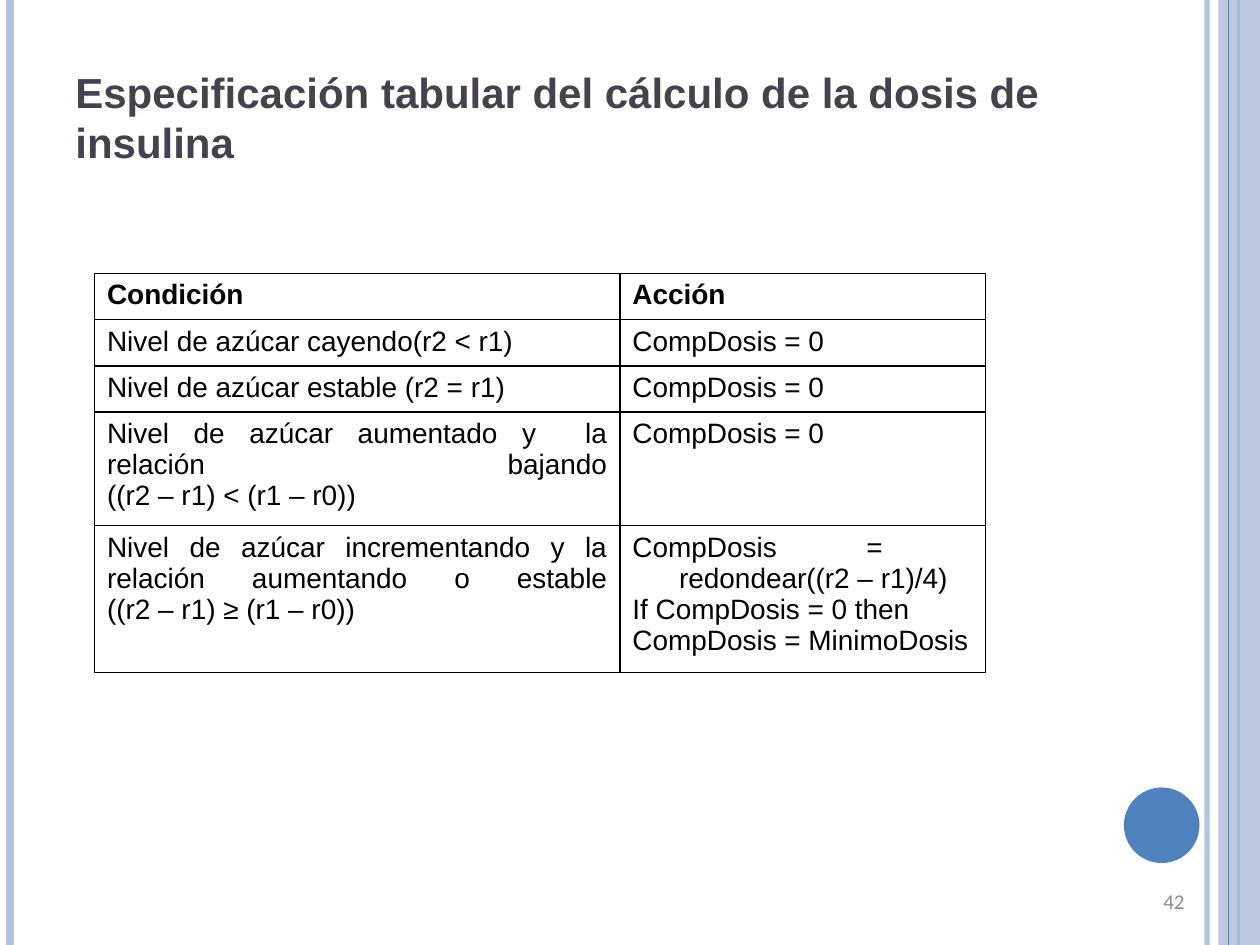
import pptx
import pptx.util
import pptx.dml.color
import pptx.enum.shapes
import pptx.enum.text
import pptx.oxml
import pptx.oxml.ns
import lxml.etree

Inches = pptx.util.Inches
RGBColor = pptx.dml.color.RGBColor
Align = pptx.enum.text.PP_ALIGN
Anchor = pptx.enum.text.MSO_ANCHOR
Shape = pptx.enum.shapes.MSO_SHAPE
qn = pptx.oxml.ns.qn

PALE_BLUE = RGBColor(0xB3, 0xC1, 0xDB)
BLUE = RGBColor(0x4F, 0x81, 0xBD)
TITLE_COLOR = RGBColor(0x46, 0x42, 0x4D)
NUMBER_COLOR = RGBColor(0x8B, 0x8B, 0x8B)
BLACK = RGBColor(0, 0, 0)

TITLE_FONT = {"name": "Arial", "size": pptx.util.Pt(24), "bold": True}
HEADER_FONT = {"name": "Arial", "size": pptx.util.Pt(16), "bold": True}
BODY_FONT = {**HEADER_FONT, "bold": False}
NUMBER_FONT = {"name": "Calibri", "size": pptx.util.Pt(12)}

HANGING = 0.37  # inches that the continued formula is set in
COLUMNS = [4.17, 2.9]
ROWS = [
    (0.35, "Condición", ["Acción"]),
    (0.35, "Nivel de azúcar cayendo(r2 < r1)", ["CompDosis = 0"]),
    (0.35, "Nivel de azúcar estable (r2 = r1)", ["CompDosis = 0"]),
    (0.84, "Nivel de azúcar aumentado y  la relación bajando\v((r2 – r1) < (r1 – r0))",
     ["CompDosis = 0"]),
    (1.09, "Nivel de azúcar incrementando y la relación aumentando o estable"
           "\v((r2 – r1) ≥ (r1 – r0))",
     ["CompDosis = \vredondear((r2 – r1)/4)", "If CompDosis = 0 then ",
      "CompDosis = MinimoDosis"]),
]


def set_opacity(fill, percent):
    """Add an alpha value to the solid colour found in a fill or line element."""
    color = fill.find(".//" + qn("a:srgbClr"))
    lxml.etree.SubElement(color, qn("a:alpha"), val=str(percent * 1000))


def write_paragraph(para, text, font, color, align):
    para.text = text
    para.alignment = align
    for span in para.runs:
        for key, value in font.items():
            setattr(span.font, key, value)
        span.font.color.rgb = color


def add_text(page, box, text, font, color, align=Align.LEFT):
    frame = page.shapes.add_textbox(*map(Inches, box)).text_frame
    frame.word_wrap = True
    frame.vertical_anchor = Anchor.MIDDLE
    write_paragraph(frame.paragraphs[0], text, font, color, align)


def add_stripe(page, x, height, color, width, opacity=100):
    stripe = page.shapes.add_connector(
        pptx.enum.shapes.MSO_CONNECTOR.STRAIGHT,
        Inches(x), 0, Inches(x), Inches(height))
    stripe.line.color.rgb = color
    stripe.line.width = pptx.util.Pt(width)
    properties = stripe.line._get_or_add_ln().getparent()
    lxml.etree.SubElement(properties, qn("a:effectLst"))
    if opacity < 100:
        set_opacity(properties, opacity)


def add_plain_shape(page, kind, box, color):
    shape = page.shapes.add_shape(kind, *map(Inches, box))
    shape.shadow.inherit = False
    shape.fill.solid()
    shape.fill.fore_color.rgb = color
    shape.line.fill.background()
    return shape


def add_decoration(page, box):
    """Vertical stripes, right-hand band and disc."""
    left, top, width, height = box
    right = left + width
    add_stripe(page, right - 0.42, height, PALE_BLUE, 3, 93)
    add_stripe(page, left + 0.08, height, PALE_BLUE, 4.5)
    add_stripe(page, right - 0.17, height, BLUE, 1.5)
    band = add_plain_shape(page, Shape.RECTANGLE,
                           (right - 0.33, top, 0.33, height), PALE_BLUE)
    set_opacity(band._element.spPr, 87)
    add_stripe(page, right - 0.25, height, BLUE, 0.75)
    add_plain_shape(page, Shape.OVAL, (right - 1.08, top + 6.25, 0.6, 0.6), BLUE)


def add_borders(cell):
    properties = cell._tc.get_or_add_tcPr()
    for position, side in enumerate(("lnL", "lnR", "lnT", "lnB")):
        border = pptx.oxml.parse_xml(
            f'<a:{side} xmlns:a="http://schemas.openxmlformats.org/drawingml/2006/main"'
            f' w="12700"><a:solidFill><a:srgbClr val="{BLACK}"/></a:solidFill></a:{side}>')
        properties.insert(position, border)


def fill_cell(cell, paragraphs, font):
    cell.fill.background()
    add_borders(cell)
    frame = cell.text_frame
    for number, text in enumerate(paragraphs):
        para = frame.add_paragraph() if number else frame.paragraphs[0]
        write_paragraph(para, text, font, BLACK, Align.JUSTIFY)
        # The formula continues on an indented second line
        if "\vredondear" in text:
            settings = para._p.get_or_add_pPr()
            settings.set("marL", str(Inches(HANGING)))
            settings.set("indent", str(-Inches(HANGING)))


def add_dose_table(page, box):
    table = page.shapes.add_table(len(ROWS), len(COLUMNS), *map(Inches, box)).table
    table.first_row = table.horz_banding = False
    for column, width in zip(table.columns, COLUMNS):
        column.width = Inches(width)
    for number, (height, condition, action) in enumerate(ROWS):
        table.rows[number].height = Inches(height)
        font = BODY_FONT if number else HEADER_FONT
        fill_cell(table.cell(number, 0), [condition], font)
        fill_cell(table.cell(number, 1), action, font)


def main():
    deck = pptx.Presentation()
    deck.slide_width, deck.slide_height = Inches(10), Inches(7.5)
    page = deck.slides.add_slide(deck.slide_layouts[6])
    add_decoration(page, (0, 0, 10, 7.5))
    add_text(page, (0.5, 0.3, 7.98, 1.25),
             "Especificación tabular del cálculo de la dosis de insulina",
             TITLE_FONT, TITLE_COLOR)
    add_dose_table(page, (0.75, 2.17, sum(COLUMNS), sum(row[0] for row in ROWS)))
    add_text(page, (7.17, 6.95, 2.33, 0.4), "42", NUMBER_FONT, NUMBER_COLOR, Align.RIGHT)
    deck.save("out.pptx")


if __name__ == "__main__":
    main()
